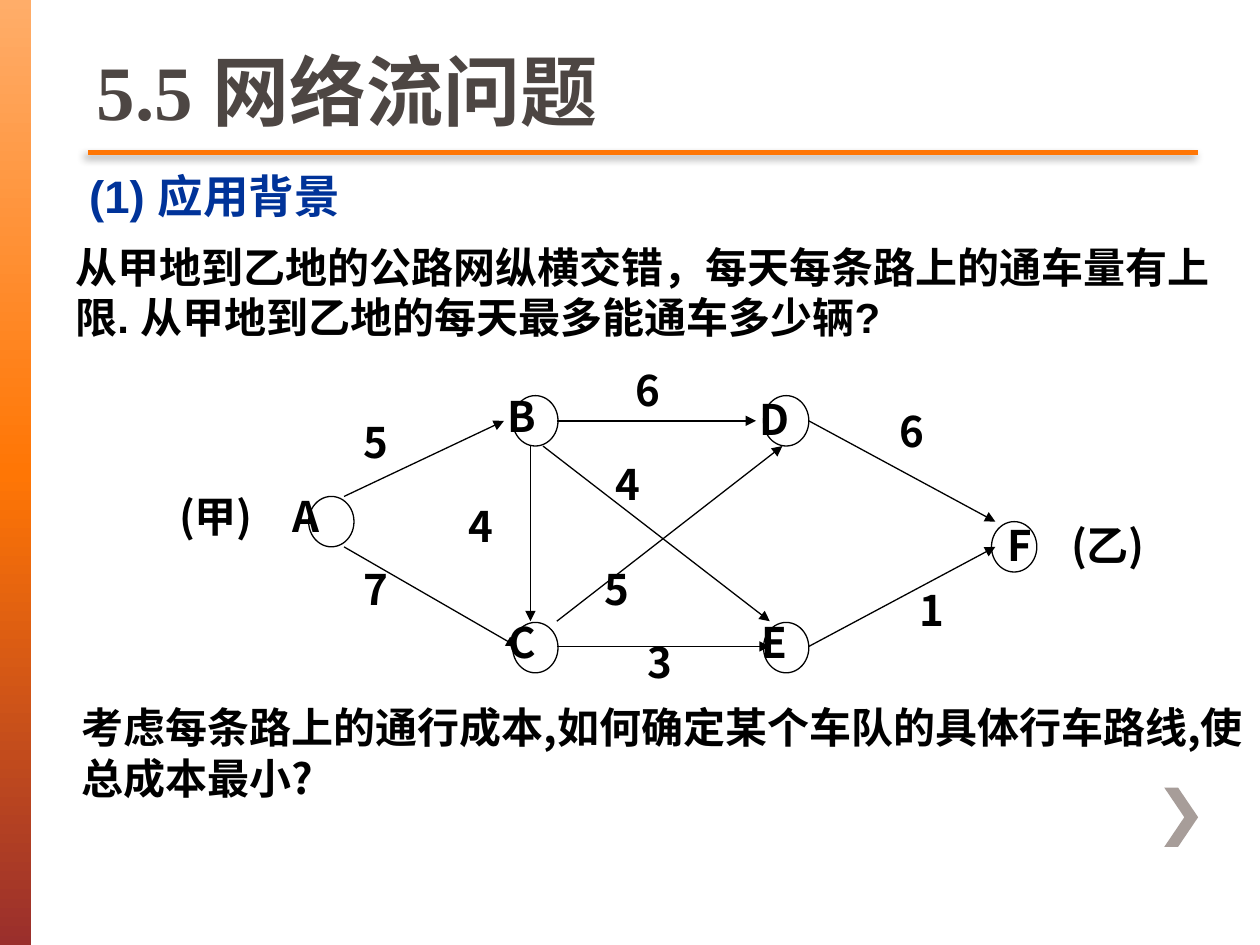
"""Build the slide on the network flow problem: a road graph with capacities."""
from lxml.etree import SubElement
from pptx import Presentation
from pptx.dml.color import RGBColor
from pptx.enum.shapes import MSO_CONNECTOR, MSO_SHAPE
from pptx.enum.text import MSO_ANCHOR, PP_ALIGN
from pptx.oxml import parse_xml
from pptx.oxml.ns import nsdecls, qn
from pptx.util import Pt

BLACK = RGBColor(0x00, 0x00, 0x00)
BLUE = RGBColor(0x00, 0x33, 0x99)
BROWN = RGBColor(0x4D, 0x46, 0x43)
GREY = RGBColor(0xA7, 0x9D, 0x99)
LIGHT_ORANGE = RGBColor(0xFF, 0xAD, 0x69)
ORANGE = RGBColor(0xFF, 0x76, 0x05)
RUST = RGBColor(0x9A, 0x2F, 0x2C)
CJK = "Noto Sans CJK SC"

TITLE = "5.5 网络流问题"
HEADING = "(1) 应用背景"
QUESTIONS = [
    ("从甲地到乙地的公路网纵横交错，每天每条路上的通车量有上限. "
     "从甲地到乙地的每天最多能通车多少辆?", 36, 134, "Arial"),
    ("考虑每条路上的通行成本,如何确定某个车队的具体行车路线,使总成本最小?",
     39.6, 397.4, CJK),
]
BAR_STOPS = [(0, LIGHT_ORANGE), (50, ORANGE), (100, RUST)]
CHEVRON = [(673.2, 450), (665.3, 450), (676.8, 467), (665.3, 484),
           (673.2, 484), (684.7, 467)]

NODE_W, NODE_H = 25.9, 28.8
NODES = [(176.4, 283.7), (293, 226.1), (293, 355.7),
         (436.3, 226.1), (436.3, 355.7), (566.6, 298.1)]
ROADS = [
    (196.6, 283.7, 288, 240.5),
    (196.6, 312.5, 295.2, 369.4),
    (318.2, 240.5, 432, 240.5),
    (303.1, 254.9, 303.1, 355),
    (318.2, 369.4, 439.9, 369.4),
    (318.2, 355, 447.1, 254.9),
    (310.3, 254.9, 439.9, 355),
    (462.2, 369.4, 568.8, 312.5),
    (462.2, 240.5, 568.8, 298.1),
]
LABEL_W, LABEL_H = 80, 41
LABELS = [
    ("(甲)", 123.4, 276.5), ("A", 175, 276.5),
    ("B", 298.4, 219.6), ("C", 298.4, 348.5),
    ("D", 442.4, 221), ("E", 442.4, 348.5),
    ("F", 582.7, 293), ("(乙)", 633.1, 293),
    ("5", 214.9, 234), ("7", 214.9, 318.2),
    ("6", 370.4, 204.5), ("4", 274.7, 282.2),
    ("4", 358.9, 258.5), ("5", 352.4, 318.2),
    ("3", 376.9, 360), ("6", 520.9, 228.2), ("1", 532.4, 330.5),
]


def add_text(s, text, x, y, w, h, size=24, font=CJK, color=BLACK,
             align=PP_ALIGN.LEFT, anchor=MSO_ANCHOR.TOP, spacing=None):
    tf = s.shapes.add_textbox(Pt(x), Pt(y), Pt(w), Pt(h)).text_frame
    tf.word_wrap = True
    tf.vertical_anchor = anchor
    p = tf.paragraphs[0]
    p.alignment = align
    if spacing:
        p.line_spacing = Pt(spacing)
    r = p.add_run()
    r.text = text
    r.font.size = Pt(size)
    r.font.bold = True
    r.font.name = font
    r.font.color.rgb = color
    SubElement(r.font._element, qn("a:ea")).set("typeface", CJK)


def add_line(s, x1, y1, x2, y2, color=BLACK, width=0.75, arrow=False):
    c = s.shapes.add_connector(MSO_CONNECTOR.STRAIGHT,
                               Pt(x1), Pt(y1), Pt(x2), Pt(y2))
    c.line.color.rgb = color
    c.line.width = Pt(width)
    if arrow:
        SubElement(c.line._get_or_add_ln(), qn("a:tailEnd")).set("type", "triangle")
    return SubElement(c._element.spPr, qn("a:effectLst"))


def add_side_bar(s):
    sp = s.shapes.add_shape(MSO_SHAPE.RECTANGLE, 0, 0, Pt(18), Pt(540))
    sp.shadow.inherit = False
    sp.line.fill.background()
    stops = "".join(f'<a:gs pos="{pos * 1000}"><a:srgbClr val="{color}"/></a:gs>'
                    for pos, color in BAR_STOPS)
    grad = parse_xml(f'<a:gradFill {nsdecls("a")}><a:gsLst>{stops}</a:gsLst>'
                     '<a:lin ang="5400000" scaled="0"/></a:gradFill>')
    sp._element.spPr.find(qn("a:prstGeom")).addnext(grad)


def add_chevron(s):
    points = [(Pt(x), Pt(y)) for x, y in CHEVRON]
    fb = s.shapes.build_freeform(*points[0])
    fb.add_line_segments(points[1:], close=True)
    sp = fb.convert_to_shape()
    sp.shadow.inherit = False
    sp.fill.solid()
    sp.fill.fore_color.rgb = GREY
    sp.line.fill.background()


def add_title_rule(s):
    effects = add_line(s, 50.4, 87.1, 684.7, 87.1, color=ORANGE, width=2.5)
    effects.append(parse_xml(
        f'<a:outerShdw {nsdecls("a")} blurRad="{Pt(5)}" dist="{Pt(3)}" '
        'dir="8100000" algn="tl" rotWithShape="0"><a:srgbClr val="000000">'
        '<a:alpha val="45000"/></a:srgbClr></a:outerShdw>'))


def add_graph(s):
    for x, y in NODES:
        sp = s.shapes.add_shape(MSO_SHAPE.OVAL, Pt(x), Pt(y), Pt(NODE_W), Pt(NODE_H))
        sp.shadow.inherit = False
        sp.fill.background()
        sp.line.color.rgb = BLACK
        sp.line.width = Pt(0.75)
    for road in ROADS:
        add_line(s, *road, arrow=True)
    for text, center, top in LABELS:
        add_text(s, text, center - LABEL_W / 2, top, LABEL_W, LABEL_H,
                 align=PP_ALIGN.CENTER, spacing=29)


def main():
    prs = Presentation()
    prs.slide_width, prs.slide_height = Pt(720), Pt(540)
    s = prs.slides.add_slide(prs.slide_layouts[6])
    add_side_bar(s)
    add_chevron(s)
    add_title_rule(s)
    add_text(s, TITLE, 48.2, 0, 634.3, 81.4, size=44, font="Times New Roman",
             color=BROWN, anchor=MSO_ANCHOR.BOTTOM)
    add_text(s, HEADING, 43.9, 95.8, 392.4, 35.3, size=26, font="Arial",
             color=BLUE, spacing=28)
    for text, x, y, font in QUESTIONS:
        add_text(s, text, x, y, 678.2, 74.2, font=font, spacing=29)
    add_graph(s)
    prs.save("out.pptx")


if __name__ == "__main__":
    main()
